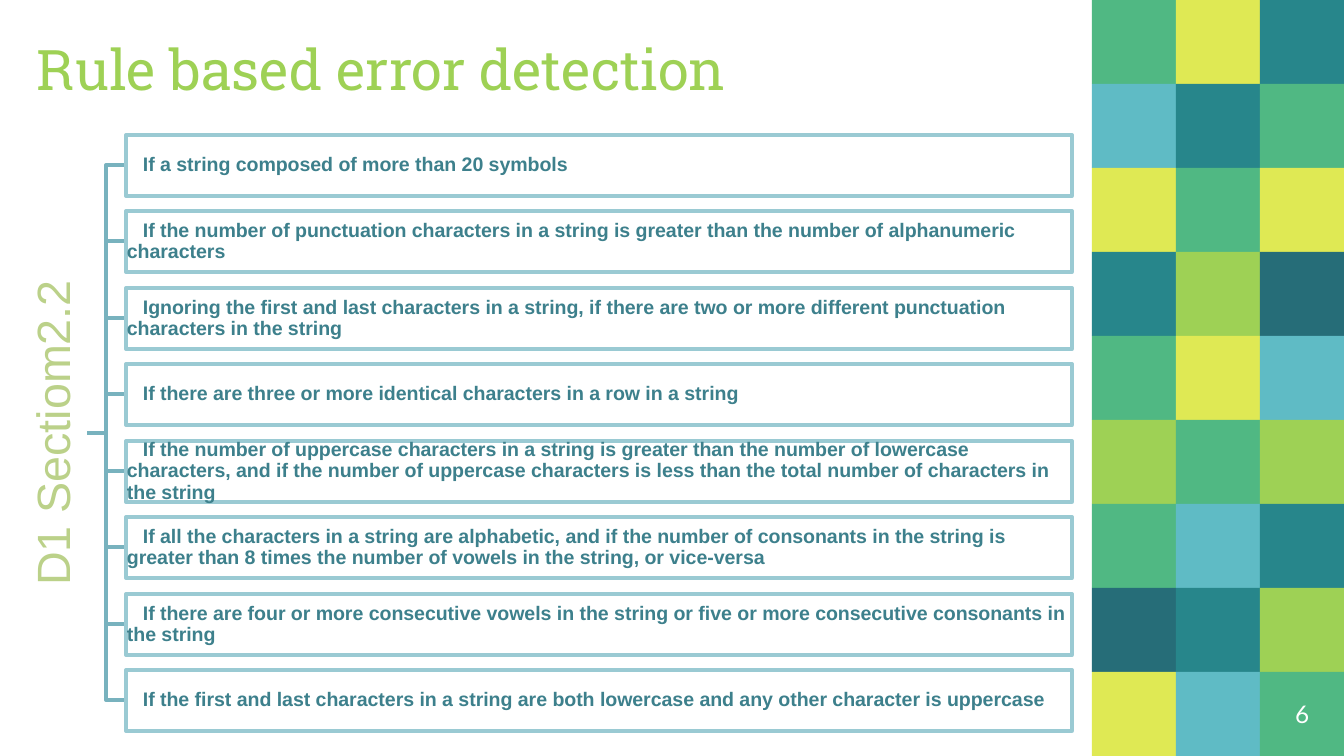
from lxml import etree
from pptx import Presentation
from pptx.dml.color import RGBColor
from pptx.enum.shapes import MSO_SHAPE
from pptx.enum.text import MSO_ANCHOR, PP_ALIGN
from pptx.oxml.ns import qn
from pptx.util import Pt

RECTANGLE = MSO_SHAPE.RECTANGLE
MIDDLE, BOTTOM = MSO_ANCHOR.MIDDLE, MSO_ANCHOR.BOTTOM
LEFT, CENTER = PP_ALIGN.LEFT, PP_ALIGN.CENTER

WHITE = RGBColor(0xFF, 0xFF, 0xFF)
LIME = RGBColor(0x9E, 0xD1, 0x55)
DARK_TEAL = RGBColor(0x26, 0x6D, 0x78)
YELLOW = RGBColor(0xDF, 0xE9, 0x54)
GREEN = RGBColor(0x50, 0xB8, 0x83)
TEAL = RGBColor(0x27, 0x86, 0x8B)
SKY = RGBColor(0x5F, 0xBB, 0xC5)
BRANCH = RGBColor(0x78, 0xB2, 0xBE)
BORDER = RGBColor(0x9A, 0xCA, 0xD3)
RULE_TEXT = RGBColor(0x3D, 0x80, 0x8C)
SECTION_TEXT = RGBColor(0xBB, 0xD1, 0x89)

TITLE = "Rule based error detection"
SECTION = "D1 Sectiom2.2"
PAGE_NUMBER = "6"
RULES = [
    "If a string composed of more than 20 symbols",
    "If the number of punctuation characters in a string is greater than "
    "the number of alphanumeric characters",
    "Ignoring the first and last characters in a string, if there are two or more "
    "different punctuation characters in the string",
    "If there are three or more identical characters in a row in a string",
    "If the number of uppercase characters in a string is greater than the number of "
    "lowercase characters, and if the number of uppercase characters is less than "
    "the total number of characters in the string",
    "If all the characters in a string are alphabetic, and if the number of consonants "
    "in the string is greater than 8 times the number of vowels in the string, "
    "or vice-versa",
    "If there are four or more consecutive vowels in the string or five or more "
    "consecutive consonants in the string",
    "If the first and last characters in a string are both lowercase and "
    "any other character is uppercase",
]
MOSAIC = [
    (GREEN, YELLOW, TEAL),
    (SKY, TEAL, GREEN),
    (YELLOW, GREEN, YELLOW),
    (TEAL, LIME, DARK_TEAL),
    (GREEN, YELLOW, SKY),
    (LIME, GREEN, LIME),
    (GREEN, SKY, TEAL),
    (DARK_TEAL, TEAL, LIME),
    (YELLOW, SKY, GREEN),
]

TITLE_FONT = {"name": "Roboto Slab", "size": Pt(30)}
NUMBER_FONT = {"name": "Lato", "size": Pt(13)}
SECTION_FONT = {"name": "Arial", "size": Pt(25)}
RULE_FONT = {"name": "Arial", "size": Pt(10.5), "bold": True}

SCALE = 914400 / 134.4
PAGE_WIDTH, PAGE_HEIGHT = 1344, 756
TILE = 84
MOSAIC_LEFT = PAGE_WIDTH - 3 * TILE
BOX_LEFT, BOX_WIDTH, BOX_HEIGHT = 126, 946, 61
FIRST_TOP, LAST_TOP = 135, 670
INDENT = 16
SECTION_LENGTH = 321
SECTION_CENTER = 55
TRUNK_LEFT, TRUNK_MIDDLE = 86, 106


def px(length):
    return round(length * SCALE)


def add_box(slide, left, top, width, height, fill, line=None, opacity=100):
    box = slide.shapes.add_shape(RECTANGLE, px(left), px(top), px(width), px(height))
    box.shadow.inherit = False
    box.fill.solid()
    box.fill.fore_color.rgb = fill
    if opacity < 100:
        color = box._element.spPr.find(qn("a:solidFill"))[0]
        etree.SubElement(color, qn("a:alpha"), val=str(opacity * 1000))
    if line is None:
        box.line.fill.background()
    else:
        box.line.color.rgb = line
        box.line.width = Pt(2)
    return box


def write(box, text, font, color, inset, anchor=MIDDLE, align=LEFT, spacing=1.0, indent=0):
    frame = box.text_frame
    frame.word_wrap = True
    frame.vertical_anchor = anchor
    for side in ("left", "top", "right", "bottom"):
        setattr(frame, f"margin_{side}", px(inset))
    para = frame.paragraphs[0]
    para.alignment = align
    para.line_spacing = spacing
    para._p.get_or_add_pPr().set("indent", str(px(indent)))
    span = para.add_run()
    span.text = text
    for name, value in font.items():
        setattr(span.font, name, value)
    span.font.color.rgb = color


def add_branch(slide, start, end):
    builder = slide.shapes.build_freeform(TRUNK_LEFT, start, scale=SCALE)
    builder.add_line_segments(
        [(TRUNK_MIDDLE, start), (TRUNK_MIDDLE, end), (BOX_LEFT, end)], close=False
    )
    branch = builder.convert_to_shape()
    branch.shadow.inherit = False
    branch.fill.background()
    branch.line.color.rgb = BRANCH
    branch.line.width = Pt(2)


def main():
    deck = Presentation()
    deck.slide_width, deck.slide_height = px(PAGE_WIDTH), px(PAGE_HEIGHT)
    slide = deck.slides.add_slide(deck.slide_layouts[6])

    for row, colors in enumerate(MOSAIC):
        for column, color in enumerate(colors):
            tile = add_box(slide, MOSAIC_LEFT + column * TILE, row * TILE, TILE, TILE, color)
    write(tile, PAGE_NUMBER, NUMBER_FONT, WHITE, 13, align=CENTER)

    title = slide.shapes.add_textbox(px(24), px(-11), px(777), px(126))
    write(title, TITLE, TITLE_FONT, LIME, 13, anchor=BOTTOM)

    pitch = (LAST_TOP - FIRST_TOP) / (len(RULES) - 1)
    tops = [round(FIRST_TOP + index * pitch) for index in range(len(RULES))]
    trunk_center = round((FIRST_TOP + LAST_TOP + BOX_HEIGHT) / 2)
    for top in tops:
        add_branch(slide, trunk_center, top + BOX_HEIGHT // 2)

    section = add_box(
        slide, SECTION_CENTER - SECTION_LENGTH / 2, trunk_center - BOX_HEIGHT / 2,
        SECTION_LENGTH, BOX_HEIGHT, WHITE, WHITE, opacity=80,
    )
    section.rotation = 270
    write(section, SECTION, SECTION_FONT, SECTION_TEXT, 2, align=CENTER, spacing=0.9)

    for top, rule in zip(tops, RULES):
        box = add_box(slide, BOX_LEFT, top, BOX_WIDTH, BOX_HEIGHT, WHITE, BORDER, opacity=70)
        write(box, rule, RULE_FONT, RULE_TEXT, 1, spacing=0.9, indent=INDENT)

    deck.save("out.pptx")


if __name__ == "__main__":
    main()
